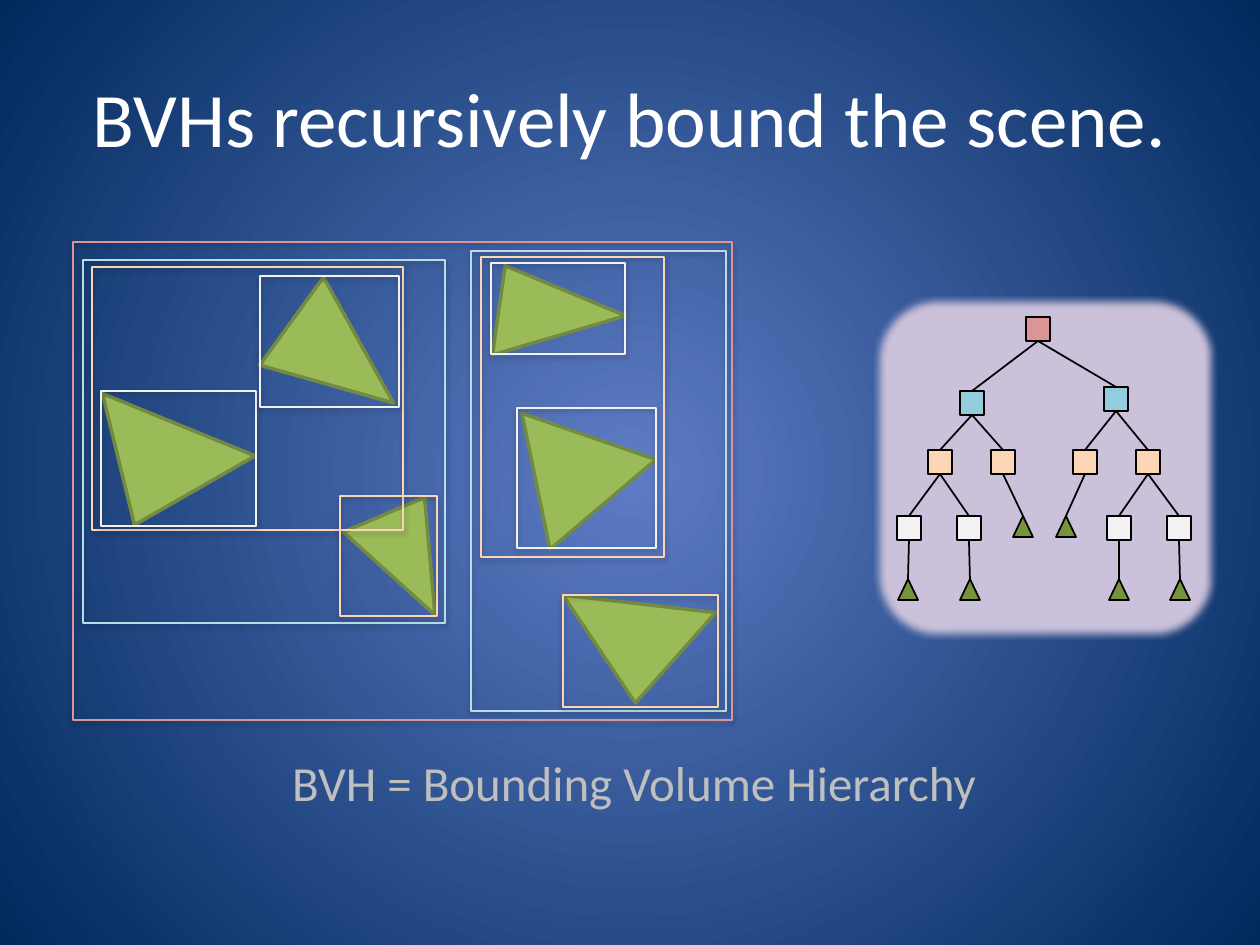
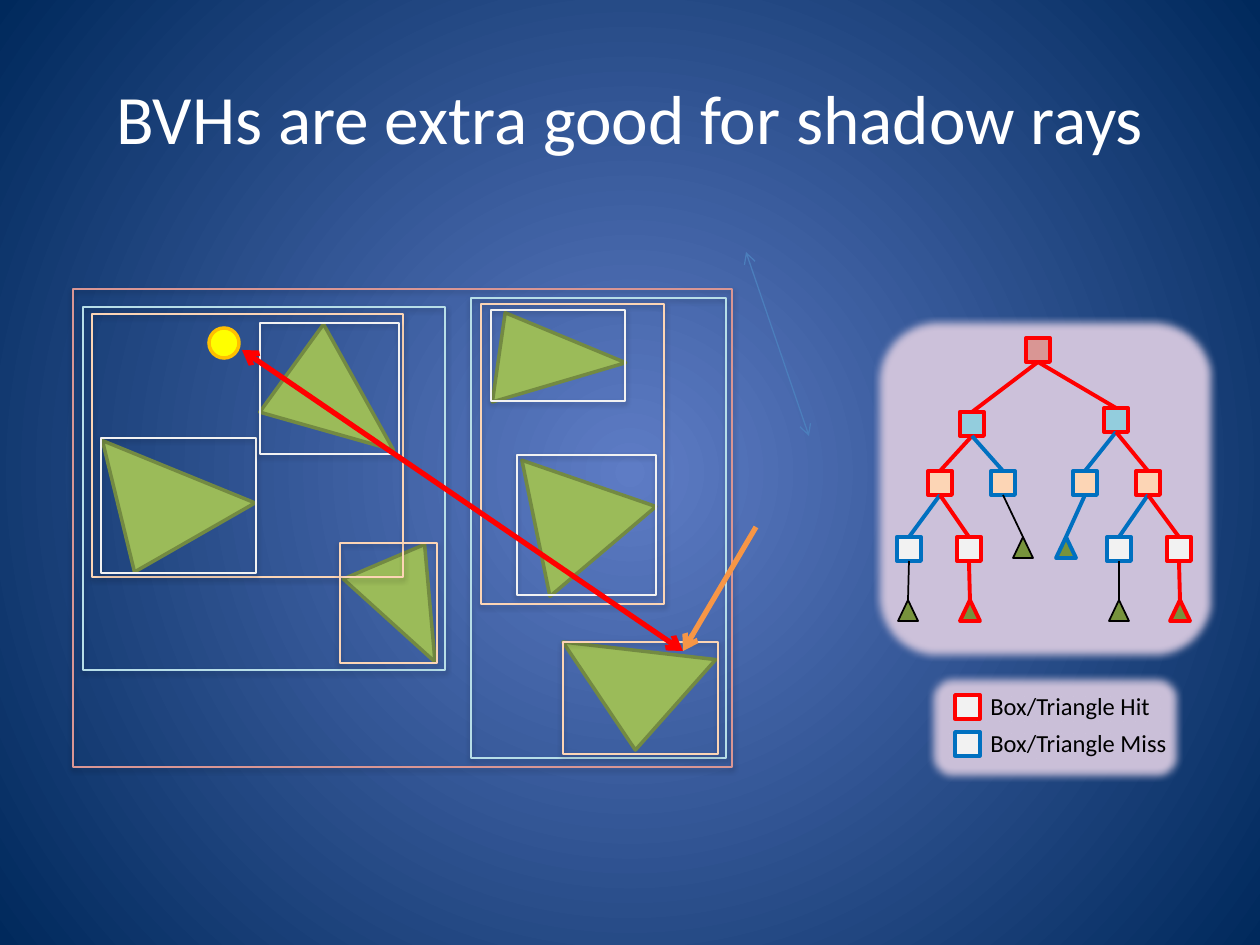
from lxml import etree
from pptx import Presentation, util as u
from pptx.dml.color import RGBColor
from pptx.enum import shapes, text
from pptx.oxml.ns import qn

PX = 914400 / 126
RED, BLUE, BLACK, WHITE = "FF0000", "0070C0", "000000", "FFFFFF"
PINK, TEAL, PEACH, PALE = "D99694", "93CDDD", "FCD5B5", "F2F2F2"
LIGHT_TEAL, LILAC, LEAF_GREEN = "B7DEE8", "CCC1DA", "77933C"
RECT, OVAL, ROUNDED, TRIANGLE = (
    shapes.MSO_SHAPE.RECTANGLE, shapes.MSO_SHAPE.OVAL,
    shapes.MSO_SHAPE.ROUNDED_RECTANGLE, shapes.MSO_SHAPE.ISOSCELES_TRIANGLE)

# left, top, width, height, rotation, apex position
SCENE_TRIANGLES = [
    (93, 369, 139, 130, 330.2, 0.27),
    (478, 255, 139, 82, 343.6, 0.27),
    (329, 518, 118, 84, 264.9, 0.77),
    (568, 553, 121, 126, 311.6, 0.27),
    (494, 397, 139, 122, 319.7, 0.48),
    (271, 284, 139, 102, 15.8, 0.27),
]
# colour, then left, top, width, height of each box
BOUNDS = [
    (LIGHT_TEAL, 471, 251, 255, 460),
    (LIGHT_TEAL, 83, 260, 362, 363),
    (PEACH, 92, 267, 311, 263),
    (PEACH, 340, 496, 97, 120),
    (PEACH, 481, 257, 183, 300),
    (PEACH, 563, 595, 155, 112),
    (PINK, 73, 242, 659, 478),
    (PALE, 101, 391, 155, 135),
    (PALE, 260, 276, 139, 131),
    (PALE, 491, 263, 134, 91),
    (PALE, 517, 408, 139, 140),
]
# name: parent, centre x, top, fill; green nodes are scene triangles
TREE = {
    "root": (None, 1038, 317, PINK),
    "L": ("root", 972, 391, TEAL),
    "R": ("root", 1116, 387, TEAL),
    "LL": ("L", 940, 450, PEACH),
    "LR": ("L", 1003, 450, PEACH),
    "RL": ("R", 1085, 450, PEACH),
    "RR": ("R", 1148, 450, PEACH),
    "LLL": ("LL", 909, 516, PALE),
    "LLR": ("LL", 969, 516, PALE),
    "RRL": ("RR", 1119, 516, PALE),
    "RRR": ("RR", 1179, 516, PALE),
    "LR leaf": ("LR", 1023, 516, LEAF_GREEN),
    "RL leaf": ("RL", 1066, 516, LEAF_GREEN),
    "LLL leaf": ("LLL", 908, 579, LEAF_GREEN),
    "LLR leaf": ("LLR", 970, 579, LEAF_GREEN),
    "RRL leaf": ("RRL", 1119, 579, LEAF_GREEN),
    "RRR leaf": ("RRR", 1180, 579, LEAF_GREEN),
}
NODE = 24
HITS = {"root", "L", "R", "LL", "RR", "LLR", "RRR", "LLR leaf", "RRR leaf"}
MISSES = {"LR", "RL", "LLL", "RRL", "RL leaf"}


def px(n):
    return u.Emu(round(n * PX))


def rgb(value):
    return RGBColor.from_string(value)


def add_xml(parent, tag, **attrs):
    return etree.SubElement(parent, qn(tag), {k: str(v) for k, v in attrs.items()})


class Deck:
    font = "Calibri"

    def __init__(self):
        self.prs = Presentation()
        self.prs.slide_width, self.prs.slide_height = px(1260), px(945)

    def slide(self, title, size):
        self.s = self.prs.slides.add_slide(self.prs.slide_layouts[6])
        self.ungroup()
        fill = self.s.background.fill
        fill.gradient()
        for stop, color in zip(fill.gradient_stops, ("5E7CC5", "00295C")):
            stop.color.rgb = rgb(color)
        grad = self.s.element.find(".//" + qn("a:gradFill"))
        grad.remove(grad.find(qn("a:lin")))
        circle = add_xml(grad, "a:path", path="circle")
        add_xml(circle, "a:fillToRect", l=50000, t=50000, r=50000, b=50000)
        self.heading(title, size, WHITE, 63, 38)

    def group(self):
        """Send the next elements into a new group."""
        self.target = self.s.shapes.add_group_shape().shapes

    def ungroup(self):
        self.target = self.s.shapes

    def text(self, words, size, color, x, y, w, h):
        tf = self.target.add_textbox(px(x), px(y), px(w), px(h)).text_frame
        tf.word_wrap = True
        p = tf.paragraphs[0]
        p.text = words
        p.font.name, p.font.size = self.font, u.Pt(size)
        p.font.color.rgb = rgb(color)
        return tf

    def heading(self, words, size, color, x, y):
        tf = self.text(words, size, color, x, y, 1134, 157)
        tf.vertical_anchor = text.MSO_ANCHOR.MIDDLE
        tf.paragraphs[0].alignment = text.PP_ALIGN.CENTER

    def shape(self, kind, x, y, w, h, fill, line, width):
        sp = self.target.add_shape(kind, px(x), px(y), px(w), px(h))
        sp.shadow.inherit = False
        if fill:
            sp.fill.solid()
            sp.fill.fore_color.rgb = rgb(fill)
        else:
            sp.fill.background()
        sp.line.color.rgb = rgb(line)
        sp.line.width = u.Pt(width)
        return sp

    def effect(self, sp, tag, **attrs):
        return add_xml(sp.element.spPr.find(qn("a:effectLst")), tag, **attrs)

    def bound(self, color, x, y, w, h):
        sp = self.shape(RECT, x, y, w, h, None, color, 0.75)
        shadow = self.effect(sp, "a:outerShdw", blurRad=40000, dist=20000,
                             dir=5400000, rotWithShape=0)
        add_xml(add_xml(shadow, "a:srgbClr", val=BLACK), "a:alpha", val=38000)

    def panel(self, x, y, w, h):
        sp = self.shape(ROUNDED, x, y, w, h, LILAC, "3A5F8C", 1)
        self.effect(sp, "a:softEdge", rad=63500)

    def line(self, start, end, color, width, arrows=()):
        c = self.target.add_connector(shapes.MSO_CONNECTOR.STRAIGHT,
                                      *map(px, start + end))
        c.line.color.rgb = rgb(color)
        c.line.width = u.Pt(width)
        for tag in arrows:
            add_xml(c.line._get_or_add_ln(), tag, type="arrow")
        add_xml(c.element.spPr, "a:effectLst")

    def scene(self, dy=0):
        self.group()
        for x, y, w, h, rotation, apex in SCENE_TRIANGLES:
            sp = self.shape(TRIANGLE, x, y + dy, w, h, "9BBB59", "738A42", 2)
            sp.rotation = rotation
            sp.adjustments[0] = apex
        for color, x, y, w, h in BOUNDS:
            self.bound(color, x, y + dy, w, h)
        self.ungroup()

    def tree(self, dy=0, hits=(), misses=()):
        """Draw the hierarchy; a branch takes the style of its lower node."""
        def style(name):
            if name in hits:
                return RED, 2.25
            return (BLUE, 2.25) if name in misses else (BLACK, 1)

        self.group()
        self.panel(872, 294 + dy, 346, 347)
        for name, (_, x, y, fill) in TREE.items():
            kind, w, h = ((TRIANGLE, 20, 21) if fill == LEAF_GREEN
                          else (RECT, NODE, NODE))
            self.shape(kind, x - w // 2, y + dy, w, h, fill, *style(name))
        for name, (parent, x, y, _) in TREE.items():
            if parent:
                _, parent_x, parent_y, _ = TREE[parent]
                self.line((parent_x, parent_y + NODE + dy), (x, y + dy), *style(name))
        self.ungroup()

    def legend(self):
        self.group()
        self.panel(926, 672, 258, 111)
        for i, (word, color) in enumerate((("Hit", RED), ("Miss", BLUE))):
            y = 695 + 37 * i
            self.shape(RECT, 955, y, 25, 24, PALE, color, 2)
            self.text(f"Box/Triangle {word}", 14, BLACK, 978, y - 10, 210, 43)
        self.ungroup()


def main():
    deck = Deck()
    both_ends = ("a:headEnd", "a:tailEnd")

    deck.slide("BVHs recursively bound the scene.", 44)
    deck.scene()
    deck.tree()
    deck.heading("BVH = Bounding Volume Hierarchy", 28, "BFBFBF", 67, 703)

    deck.slide("BVHs are extra good for shadow rays", 39.6)
    deck.scene(dy=47)
    deck.tree(21, HITS, MISSES)
    hit_point = (683, 651)
    deck.line(hit_point, (242, 350), RED, 3, both_ends)
    deck.legend()
    deck.line((746, 252), (809, 436), "4B7EBC", 0.75, both_ends)
    deck.shape(OVAL, 209, 328, 30, 30, "FFFF00", "FFC000", 2)
    deck.line((756, 527), hit_point, "F79646", 3, ("a:tailEnd",))

    deck.prs.save("out.pptx")


if __name__ == "__main__":
    main()
